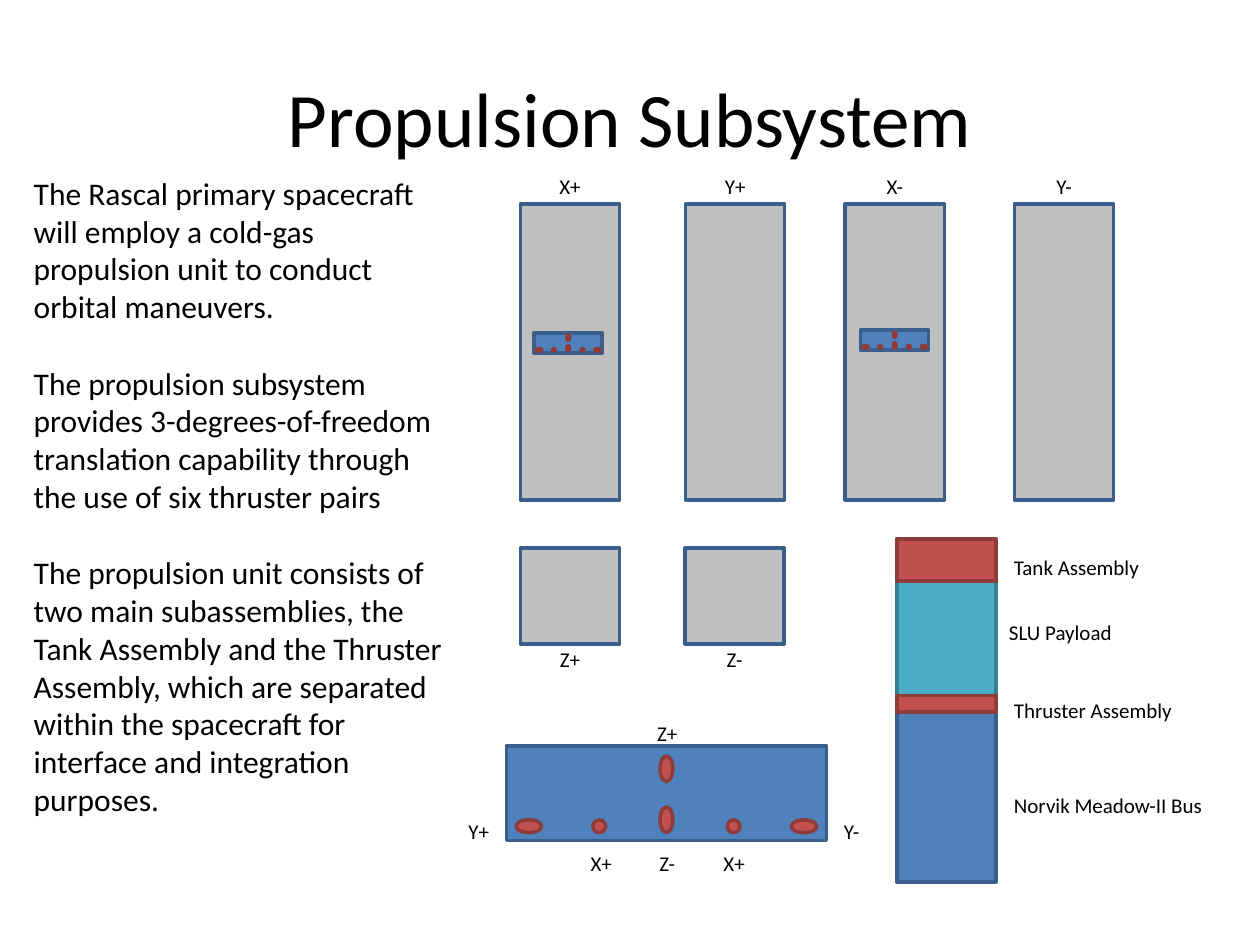
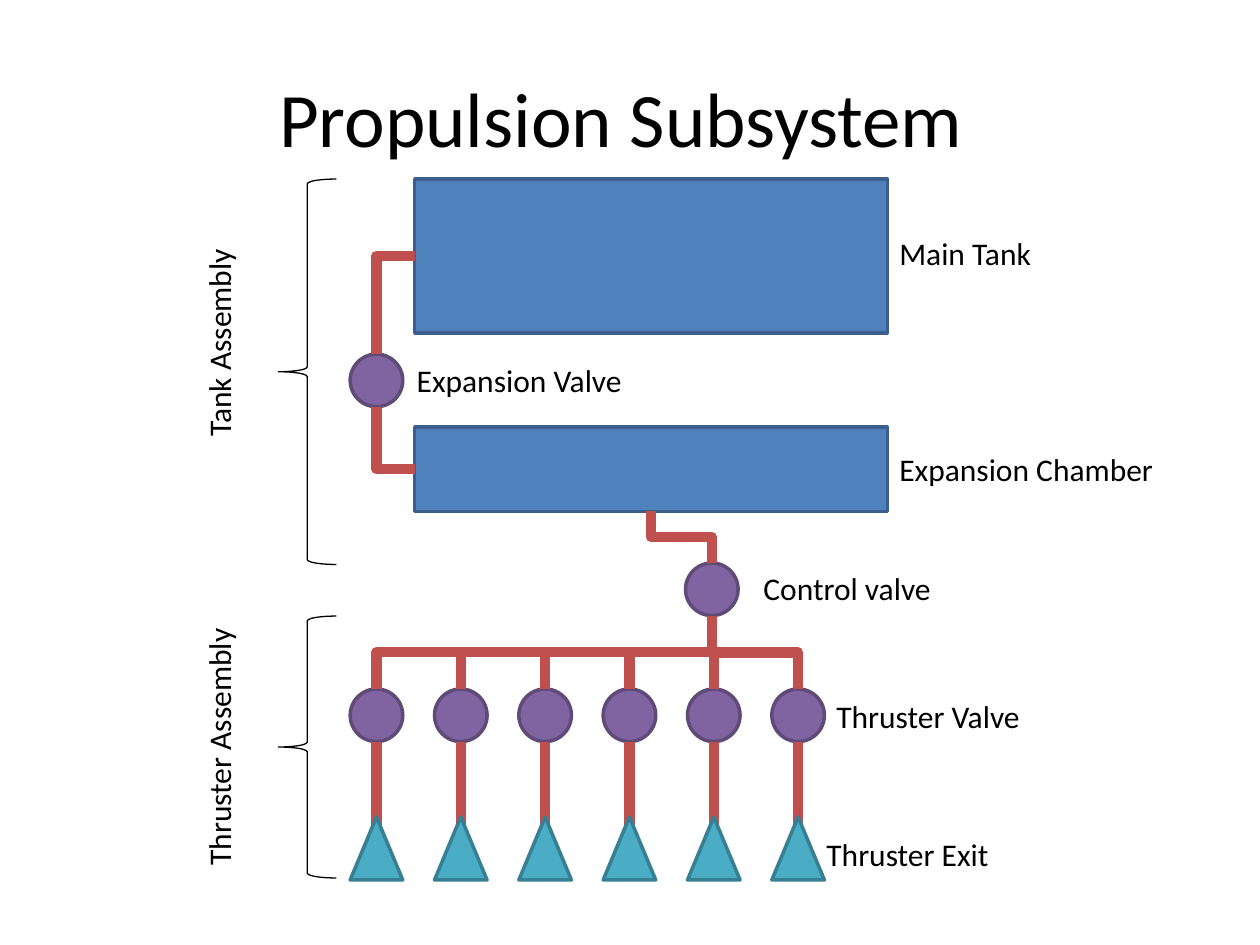
from pptx import Presentation
from pptx.dml.color import RGBColor
from pptx.enum.shapes import MSO_CONNECTOR, MSO_SHAPE
from pptx.enum.text import MSO_ANCHOR, MSO_AUTO_SIZE, PP_ALIGN
from pptx.oxml.ns import qn
from pptx.util import Cm, Pt

BLACK = "000000"
# (fill, outline) for each kind of part
BLUE = ("4F81BD", "3A5F8C")
RED = ("C0504D", "8E3B39")
TEAL = ("4BACC6", "377F92")
PURPLE = ("8064A2", "5F4A78")
GREY = ("BFBFBF", "3A5F8C")


def color(hex_code):
    return RGBColor.from_string(hex_code)


class Deck:
    """Holds the presentation, its style and the slide being drawn (lengths in cm)."""

    font = "Calibri"
    pipe_color = "C0504D"

    def __init__(self):
        self.presentation = Presentation()
        self.presentation.slide_width = Cm(25.4)
        self.presentation.slide_height = Cm(19.05)

    def new_slide(self, heading):
        layout = self.presentation.slide_layouts[5]
        self.shapes = self.presentation.slides.add_slide(layout).shapes
        title = self.shapes.title
        title.left, title.top, title.width, title.height = Cm(1.27), Cm(0.76), Cm(22.86), Cm(3.18)
        title.text_frame.text = heading
        title.text_frame.vertical_anchor = MSO_ANCHOR.MIDDLE
        self.format_text(title.text_frame, 44, PP_ALIGN.CENTER)

    def format_text(self, frame, size, align):
        for paragraph in frame.paragraphs:
            paragraph.alignment = align
            for run in paragraph.runs:
                run.font.name = self.font
                run.font.size = Pt(size)
                run.font.color.rgb = color(BLACK)

    def text(self, words, left, top, width, height=0.76, size=12,
             align=PP_ALIGN.LEFT, rotation=0, gap=0):
        """Add a text box; gap is the space in points between paragraphs."""
        box = self.shapes.add_textbox(Cm(left), Cm(top), Cm(width), Cm(height))
        box.rotation = rotation
        frame = box.text_frame
        frame.word_wrap = True
        frame.auto_size = MSO_AUTO_SIZE.SHAPE_TO_FIT_TEXT
        frame.text = words
        for paragraph in frame.paragraphs[1:]:
            paragraph.space_before = Pt(gap)
        self.format_text(frame, size, align)

    def centered_label(self, words, center, top):
        self.text(words, center - 0.9, top, 1.8, align=PP_ALIGN.CENTER)

    def shape(self, kind, colors, left, top, width, height):
        part = self.shapes.add_shape(kind, Cm(left), Cm(top), Cm(width), Cm(height))
        part.shadow.inherit = False
        fill, outline = colors
        part.fill.solid()
        part.fill.fore_color.rgb = color(fill)
        part.line.color.rgb = color(outline)
        part.line.width = Pt(2)

    def box(self, colors, left, top, width, height):
        self.shape(MSO_SHAPE.RECTANGLE, colors, left, top, width, height)

    def brace(self, left, top, width, height):
        brace = self.shapes.add_shape(MSO_SHAPE.LEFT_BRACE, Cm(left), Cm(top), Cm(width), Cm(height))
        brace.shadow.inherit = False
        brace.fill.background()
        brace.line.color.rgb = color(BLACK)
        brace.line.width = Pt(0.75)

    def pipe(self, x1, y1, x2, y2, kind=MSO_CONNECTOR.STRAIGHT):
        pipe = self.shapes.add_connector(kind, Cm(x1), Cm(y1), Cm(x2), Cm(y2))
        pipe.line.color.rgb = color(self.pipe_color)
        pipe.line.width = Pt(6)
        properties = pipe.element.spPr
        properties.append(properties.makeelement(qn("a:effectLst"), {}))
        return properties

    def corner_pipe(self, x1, y1, x2, y2):
        """Run sideways from the start, then turn once towards the end."""
        properties = self.pipe(x1, y1, x2, y2, MSO_CONNECTOR.ELBOW)
        properties.find(qn("a:prstGeom")).set("prst", "bentConnector2")

    def step_pipe(self, x1, y1, x2, y2):
        """Run down, sideways at half height, then down again."""
        center_x, center_y = (x1 + x2) / 2, (y1 + y2) / 2
        half_length, half_breadth = (y2 - y1) / 2, abs(x2 - x1) / 2
        properties = self.pipe(center_x - half_length, center_y - half_breadth,
                               center_x + half_length, center_y + half_breadth,
                               MSO_CONNECTOR.ELBOW)
        rightward = x2 > x1
        properties.xfrm.rot = 270 if rightward else 90
        properties.xfrm.flipH = rightward

    def thruster_block(self, left, top, width):
        height = width * 0.295
        self.box(BLUE, left, top, width, height)
        short, long = width * 0.04, width * 0.08
        nozzles = [(0.5, 0.24, short, long), (0.5, 0.78, short, long),
                   (0.07, 0.85, long, short), (0.93, 0.85, long, short),
                   (0.29, 0.85, short, short), (0.71, 0.85, short, short)]
        for across, down, nozzle_width, nozzle_height in nozzles:
            self.shape(MSO_SHAPE.OVAL, RED,
                       left + across * width - nozzle_width / 2,
                       top + down * height - nozzle_height / 2,
                       nozzle_width, nozzle_height)


def draw_layout_slide(deck):
    deck.new_slide("Propulsion Subsystem")
    deck.text(
        "The Rascal primary spacecraft will employ a cold-gas propulsion unit to conduct "
        "orbital maneuvers.\n"
        "The propulsion subsystem provides 3-degrees-of-freedom translation capability "
        "through the use of six thruster pairs\n"
        "The propulsion unit consists of two main subassemblies, the Tank Assembly and the "
        "Thruster Assembly, which are separated within the spacecraft for interface and "
        "integration purposes.",
        0.43, 3.38, 8.89, 13.34, size=18, gap=22)

    body_width = 2
    stack_left = 18.08
    for colors, top, height in [(BLUE, 14.33, 3.45), (TEAL, 10.87, 3.45),
                                (RED, 10.87, 0.84), (RED, 14.02, 0.33)]:
        deck.box(colors, stack_left, top, body_width, height)
    for words, left, top in [("Tank Assembly", 20.19, 11.05), ("SLU Payload", 20.09, 12.37),
                             ("Thruster Assembly", 20.19, 13.94),
                             ("Norvik Meadow-II Bus", 20.19, 15.85)]:
        deck.text(words, left, top, 4.37)

    for face, left in [("X+", 10.49), ("Y+", 13.82), ("X-", 17.04), ("Y-", 20.45)]:
        deck.box(GREY, left, 4.11, body_width, 5.97)
        deck.centered_label(face, left + body_width / 2, 3.38)
    for face, left in [("Z+", 10.49), ("Z-", 13.81)]:
        deck.box(GREY, left, 11.05, body_width, 1.93)
        deck.centered_label(face, left + body_width / 2, 12.9)

    for left, top, width in [(10.77, 6.71, 1.37), (17.35, 6.65, 1.37), (10.21, 15.04, 6.45)]:
        deck.thruster_block(left, top, width)
    for axis, center, top in [("Z+", 13.45, 14.4), ("X+", 12.12, 17.02),
                              ("Z-", 13.45, 17.02), ("X+", 14.8, 17.02)]:
        deck.centered_label(axis, center, top)
    deck.text("Y+", 9.07, 16.38, 1.04, align=PP_ALIGN.RIGHT)
    deck.text("Y-", 16.76, 16.38, 1.04)


def draw_schematic_slide(deck):
    deck.new_slide("Propulsion Subsystem ")
    tank_left, tank_width = 8.36, 9.53
    valve_size = 1.06
    first_thruster, pitch = 7.59, 1.7
    control_x, manifold_y, thruster_valve_top = 14.35, 13.15, 13.89
    thruster_centers = [first_thruster + pitch * i for i in range(6)]

    deck.box(BLUE, tank_left, 3.61, tank_width, 3.1)
    deck.box(BLUE, tank_left, 8.61, tank_width, 1.7)

    valves = [(first_thruster, 7.14), (control_x, 11.35)]
    valves += [(center, thruster_valve_top) for center in thruster_centers]
    for center, top in valves:
        deck.shape(MSO_SHAPE.OVAL, PURPLE, center - valve_size / 2, top, valve_size, valve_size)

    deck.corner_pipe(tank_left, 5.16, first_thruster, 7.14)
    deck.corner_pipe(tank_left, 9.46, first_thruster, 8.2)
    deck.step_pipe(tank_left + tank_width / 2, 10.31, control_x, 11.35)
    deck.step_pipe(control_x, 12.41, first_thruster, thruster_valve_top)
    deck.corner_pipe(control_x, manifold_y, thruster_centers[-1], thruster_valve_top)
    for center in thruster_centers[1:-1]:
        deck.pipe(center, manifold_y, center, thruster_valve_top)
    for center in thruster_centers:
        deck.pipe(center, thruster_valve_top + valve_size, center, 17.7)
        deck.shape(MSO_SHAPE.ISOSCELES_TRIANGLE, TEAL, center - valve_size / 2, 16.47,
                   valve_size, 1.27)

    for words, left, top in [("Main Tank", 17.88, 4.6), ("Expansion Valve", 8.15, 7.16),
                             ("Expansion Chamber", 17.88, 8.94),
                             ("Control valve", 15.14, 11.35),
                             ("Thruster Valve", 16.61, 13.92),
                             ("Thruster Exit", 16.41, 16.71)]:
        deck.text(words, left, top, 5.92, 1.02, size=18)
    for assembly, label_top, brace_top, brace_height in [
            ("Tank Assembly", 6.4, 3.61, 7.77), ("Thruster Assembly", 14.55, 12.42, 5.28)]:
        deck.brace(5.61, brace_top, 1.17, brace_height)
        deck.text(assembly, 1.45, label_top, 5.92, 1.02, size=18,
                  align=PP_ALIGN.CENTER, rotation=270)


def main():
    deck = Deck()
    draw_layout_slide(deck)
    draw_schematic_slide(deck)
    deck.presentation.save("out.pptx")


if __name__ == "__main__":
    main()
